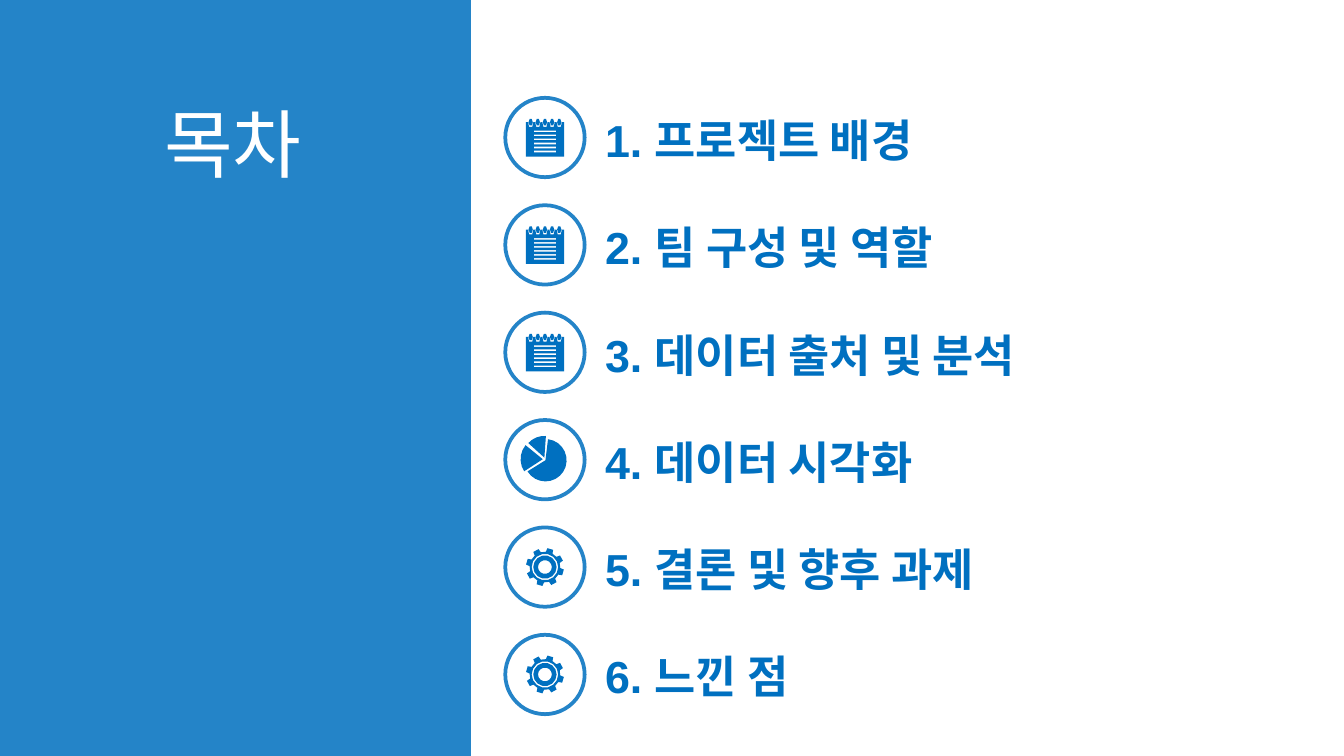
import math

import pptx
import pptx.dml.color
import pptx.enum.shapes
import pptx.enum.text
import pptx.oxml.ns
import pptx.util
from lxml import etree

Cm = pptx.util.Cm
Pt = pptx.util.Pt
BLUE = "0070C0"
WHITE = "FFFFFF"
ICON_X, FIRST_ICON_Y, ROW_PITCH = 10.3, 2.6, 2.03
CIRCLE_SIZE = 1.5


def set_values(target, values):
    for name, value in values.items():
        setattr(target, name, value)


def set_color(color_format, hex_color):
    color_format.rgb = pptx.dml.color.RGBColor.from_string(hex_color)


def set_opacity(parent, percent):
    color = parent.find(".//" + pptx.oxml.ns.qn("a:srgbClr"))
    alpha = etree.SubElement(color, pptx.oxml.ns.qn("a:alpha"))
    alpha.set("val", str(percent * 1000))


def set_fill(shape, hex_color):
    shape.shadow.inherit = False
    shape.fill.solid()
    set_color(shape.fill.fore_color, hex_color)


def arc(x, y, radius_x, radius_y, start, end, steps):
    angles = [math.radians(start + (end - start) * step / steps) for step in range(steps + 1)]
    return [(x + radius_x * math.cos(angle), y + radius_y * math.sin(angle)) for angle in angles]


def ellipse(x, y, radius_x, radius_y, steps):
    return arc(x, y, radius_x, radius_y, 0, 360, steps)[:-1]


def notepad_contours():
    ring_centers = [-0.27 + 0.135 * index for index in range(5)]
    body = [(-0.36, -0.29)]
    for x in ring_centers:
        body += [(x - 0.05, -0.29), (x - 0.03, -0.2), (x + 0.03, -0.2), (x + 0.05, -0.29)]
    body += [(0.36, -0.29), (0.36, 0.36), (-0.36, 0.36)]
    rings = [ellipse(x, -0.29, 0.04, 0.07, 6) for x in ring_centers]
    lines = []
    for index in range(6):
        top = -0.13 + 0.076 * index
        lines.append([(-0.21, top), (0.21, top), (0.21, top + 0.03), (-0.21, top + 0.03)])
    return [body] + rings + lines


def pie_contours():
    wedges = [(0.01, 0.01, 0.4, -83, 148, 16), (-0.04, -0.01, 0.42, 147, 219, 5), (-0.01, -0.04, 0.41, 222, 274, 4)]
    return [
        [(x, y)] + arc(x, y, radius, radius, start, end, steps)
        for x, y, radius, start, end, steps in wedges
    ]


def gear_contours():
    outline = []
    for tooth in range(8):
        for radius, offset in [(0.29, -13), (0.36, -9), (0.36, 9), (0.29, 13)]:
            angle = math.radians(-73.5 + 45 * tooth + offset)
            outline.append((radius * math.cos(angle), radius * math.sin(angle)))
    return [outline] + [ellipse(0, 0, radius, radius, 14) for radius in (0.25, 0.22, 0.13)]


def add_panel(slide):
    panel = slide.shapes.add_shape(
        pptx.enum.shapes.MSO_SHAPE.RECTANGLE, 0, 0, Cm(8.9), Cm(14.29)
    )
    set_fill(panel, BLUE)
    set_opacity(panel._element.spPr, 86)
    panel.line.fill.background()
    slide.shapes._spTree.insert(2, panel._element)


def add_icon(slide, y, contours):
    circle = slide.shapes.add_shape(
        pptx.enum.shapes.MSO_SHAPE.OVAL,
        Cm(ICON_X - CIRCLE_SIZE / 2),
        Cm(y - CIRCLE_SIZE / 2),
        Cm(CIRCLE_SIZE),
        Cm(CIRCLE_SIZE),
    )
    set_fill(circle, WHITE)
    circle.line.width = Pt(2)
    set_color(circle.line.color, BLUE)
    set_opacity(circle._element.spPr.find(pptx.oxml.ns.qn("a:ln")), 85)

    builder = None
    for contour in contours:
        points = [(Cm(ICON_X + dx), Cm(y + dy)) for dx, dy in contour]
        if builder is None:
            builder = slide.shapes.build_freeform(*points[0])
        else:
            builder.move_to(*points[0])
        builder.add_line_segments(points[1:], close=True)
    symbol = builder.convert_to_shape()
    set_fill(symbol, BLUE)
    symbol.line.fill.background()


def fill_placeholder(placeholder, box, lines, frame_values, paragraph_values, font_values, hex_color):
    set_values(placeholder, dict(zip(("left", "top", "width", "height"), map(Cm, box))))
    text_frame = placeholder.text_frame
    set_values(text_frame, frame_values)
    for index, line in enumerate(lines):
        paragraph = text_frame.paragraphs[0] if index == 0 else text_frame.add_paragraph()
        properties = paragraph._p.get_or_add_pPr()
        properties.set("marL", "0")
        properties.set("indent", "0")
        etree.SubElement(properties, pptx.oxml.ns.qn("a:buNone"))
        set_values(paragraph, paragraph_values)
        paragraph.space_before = Pt(27.5 if index else 0)
        run = paragraph.add_run()
        run.text = line
        set_values(run.font, font_values)
        set_color(run.font.color, hex_color)


def main():
    presentation = pptx.Presentation()
    set_values(presentation, {"slide_width": Cm(25.4), "slide_height": Cm(14.29)})
    slide = presentation.slides.add_slide(presentation.slide_layouts[1])
    add_panel(slide)

    frame_values = {"word_wrap": True, "auto_size": pptx.enum.text.MSO_AUTO_SIZE.NONE}
    fill_placeholder(
        slide.shapes.title,
        (0.3, 1.1, 8.2, 3.2),
        ["목차"],
        {**frame_values, "vertical_anchor": pptx.enum.text.MSO_ANCHOR.MIDDLE},
        {"alignment": pptx.enum.text.PP_ALIGN.CENTER},
        {"name": "Arial", "size": Pt(40), "bold": False},
        WHITE,
    )
    topics = [
        ("1. 프로젝트 배경", notepad_contours),
        ("2. 팀 구성 및 역할", notepad_contours),
        ("3. 데이터 출처 및 분석", notepad_contours),
        ("4. 데이터 시각화", pie_contours),
        ("5. 결론 및 향후 과제", gear_contours),
        ("6. 느낀 점", gear_contours),
    ]
    fill_placeholder(
        slide.placeholders[1],
        (11.18, 1.96, 12, 11.53),
        [topic for topic, contours in topics],
        {**frame_values, "vertical_anchor": pptx.enum.text.MSO_ANCHOR.TOP},
        {"alignment": pptx.enum.text.PP_ALIGN.LEFT, "line_spacing": Pt(30)},
        {"name": "Arial", "size": Pt(24), "bold": True},
        BLUE,
    )
    for index, (topic, contours) in enumerate(topics):
        add_icon(slide, FIRST_ICON_Y + ROW_PITCH * index, contours())
    presentation.save("out.pptx")


if __name__ == "__main__":
    main()
